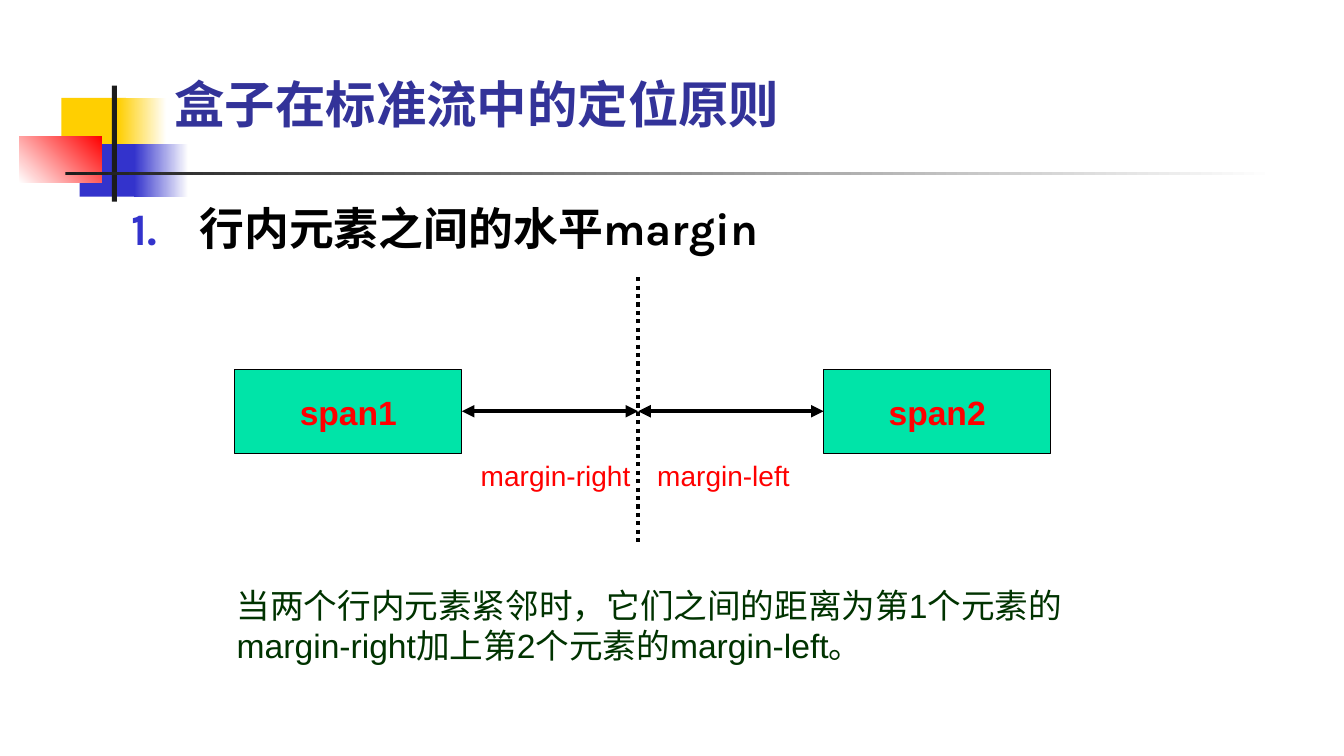
from dataclasses import dataclass

from lxml import etree
from pptx import Presentation
from pptx.dml.color import RGBColor
from pptx.enum.dml import MSO_LINE
from pptx.enum.shapes import MSO_CONNECTOR, MSO_SHAPE
from pptx.enum.text import MSO_ANCHOR, MSO_AUTO_SIZE, PP_ALIGN
from pptx.oxml.ns import qn
from pptx.util import Inches, Pt

RECTANGLE = MSO_SHAPE.RECTANGLE
STRAIGHT = MSO_CONNECTOR.STRAIGHT
DOTTED = MSO_LINE.ROUND_DOT
TOP, MIDDLE = MSO_ANCHOR.TOP, MSO_ANCHOR.MIDDLE
LEFT, CENTER = PP_ALIGN.LEFT, PP_ALIGN.CENTER
NO_AUTOFIT = MSO_AUTO_SIZE.NONE


@dataclass(frozen=True)
class Theme:
    heading_font: str = "Karla"
    body_font: str = "Arial"
    title_size: int = 36
    heading_size: int = 32
    text_size: int = 24
    label_size: int = 20
    title: str = "333399"
    black: str = "000000"
    white: str = "FFFFFF"
    red: str = "FF0000"
    yellow: str = "FFCF01"
    blue: str = "3333CC"
    charcoal: str = "1C1C1C"
    green: str = "00E4A8"
    dark_green: str = "003300"


THEME = Theme()


def rgb(color):
    return RGBColor.from_string(color)


def add_run(para, text, font, size, color, bold=False):
    span = para.add_run()
    span.text = text
    span.font.name = font
    span.font.size = Pt(size)
    span.font.bold = bold
    span.font.color.rgb = rgb(color)
    east_asian = etree.SubElement(span.font._element, qn("a:ea"))
    east_asian.set("typeface", font)


def place(shape, left, top, width, height):
    shape.left, shape.top = Inches(left), Inches(top)
    shape.width, shape.height = Inches(width), Inches(height)


def set_title(page, text):
    title = page.shapes.title
    place(title, 1.63, 0.68, 11.36, 0.92)
    frame = title.text_frame
    frame.auto_size = NO_AUTOFIT
    frame.vertical_anchor = TOP
    para = frame.paragraphs[0]
    para.alignment = LEFT
    add_run(para, text, THEME.heading_font, THEME.title_size, THEME.title, True)


def add_block(page, area, color, fade_to=None, angle=0):
    left, top, width, height = map(Inches, area)
    block = page.shapes.add_shape(RECTANGLE, left, top, width, height)
    block.shadow.inherit = False
    block.line.fill.background()
    if fade_to is None:
        block.fill.solid()
        block.fill.fore_color.rgb = rgb(color)
    else:
        block.fill.gradient()
        block.fill.gradient_angle = angle
        for stop, shade in zip(block.fill.gradient_stops, (color, fade_to)):
            stop.color.rgb = rgb(shade)
    return block


def add_text(page, area, text, font, size, color, bold=False):
    box = page.shapes.add_textbox(*map(Inches, area))
    box.text_frame.word_wrap = True
    para = box.text_frame.paragraphs[0]
    add_run(para, text, font, size, color, bold)
    return para


def number_paragraph(para, indent, color):
    properties = para._p.get_or_add_pPr()
    properties.set("marL", str(Inches(indent)))
    properties.set("indent", str(-Inches(indent)))
    bullet_color = etree.SubElement(properties, qn("a:buClr"))
    etree.SubElement(bullet_color, qn("a:srgbClr")).set("val", color)
    etree.SubElement(properties, qn("a:buAutoNum")).set("type", "arabicPeriod")


def add_span_box(page, left, name):
    box = add_block(page, (left, 3.67, 2.25, 0.83), THEME.green)
    box.line.color.rgb = rgb(THEME.black)
    box.line.width = Pt(0.75)
    frame = box.text_frame
    frame.word_wrap = False
    frame.vertical_anchor = MIDDLE
    para = frame.paragraphs[0]
    para.alignment = CENTER
    add_run(para, name, THEME.body_font, THEME.text_size, THEME.red, True)


def add_line(page, start, end, dash=None, arrows=False):
    line = page.shapes.add_connector(STRAIGHT, *map(Inches, start + end))
    line.line.color.rgb = rgb(THEME.black)
    line.line.width = Pt(3)
    if dash is not None:
        line.line.dash_style = dash
    if arrows:
        outline = line.line._get_or_add_ln()
        for tag in ("a:headEnd", "a:tailEnd"):
            etree.SubElement(outline, qn(tag)).set("type", "triangle")
    etree.SubElement(line._element.spPr, qn("a:effectLst"))


def add_decoration(page):
    # Coloured squares fading to white
    add_block(page, (0.61, 0.97, 0.64, 0.52), THEME.yellow)
    add_block(page, (1.17, 0.97, 0.48, 0.52), THEME.yellow, THEME.white)
    add_block(page, (0.79, 1.43, 0.62, 0.52), THEME.blue)
    add_block(page, (1.33, 1.43, 0.54, 0.52), THEME.blue, THEME.white)
    add_block(page, (0.19, 1.35, 0.82, 0.46), THEME.white, THEME.red, 45)
    # Crossing bars
    add_block(page, (1.11, 0.85, 0.05, 1.15), THEME.charcoal)
    add_block(page, (0.65, 1.71, 12, 0.03), THEME.charcoal, THEME.white)


def add_margin_diagram(page):
    divider, arrow_y = 6.33, 4.08
    # Inline elements
    for left, name in ((2.33, "span1"), (8.17, "span2")):
        add_span_box(page, left, name)
    # Divider and margin arrows
    add_line(page, (divider, 2.75), (divider, 5.42), dash=DOTTED)
    for start, end in ((4.58, divider), (divider, 8.17)):
        add_line(page, (start, arrow_y), (end, arrow_y), arrows=True)
    # Margin labels
    for left, width, label in ((4.67, 1.83, "margin-right"), (6.42, 2.25, "margin-left")):
        add_text(page, (left, 4.5, width, 0.44), label,
                 THEME.body_font, THEME.label_size, THEME.red)


def main():
    deck = Presentation()
    deck.slide_width, deck.slide_height = Inches(13.33), Inches(7.5)
    page = deck.slides.add_slide(deck.slide_layouts[5])

    add_decoration(page)
    set_title(page, "盒子在标准流中的定位原则")

    # Numbered heading
    heading = add_text(page, (1.21, 1.94, 11.33, 0.7), "行内元素之间的水平margin",
                       THEME.heading_font, THEME.heading_size, THEME.black, True)
    number_paragraph(heading, 0.67, THEME.blue)

    add_margin_diagram(page)

    # Explanation
    add_text(page, (2.25, 5.75, 9, 0.91),
             "当两个行内元素紧邻时，它们之间的距离为第1个元素的"
             "margin-right加上第2个元素的margin-left。",
             THEME.body_font, THEME.text_size, THEME.dark_green)

    deck.save("out.pptx")


if __name__ == "__main__":
    main()
